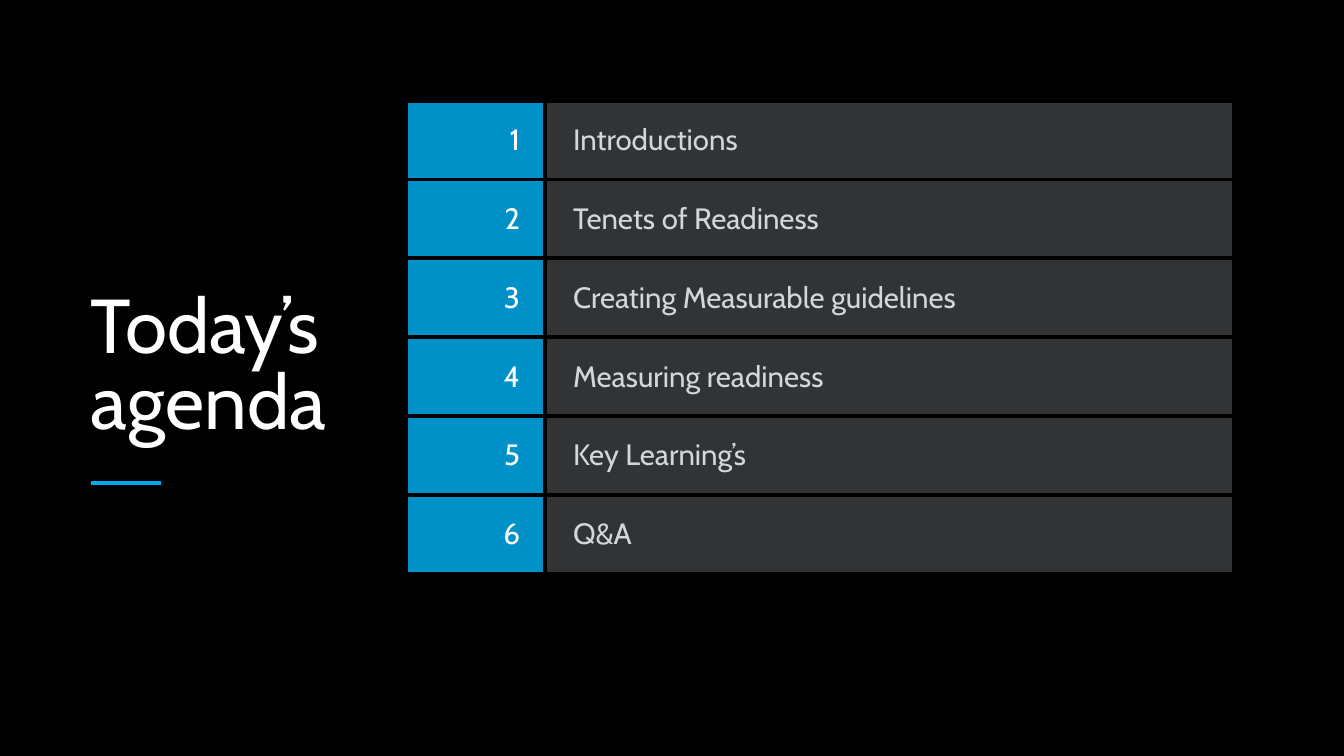
import pptx
import pptx.util
import pptx.dml.color
import pptx.enum.shapes
import pptx.enum.text
import pptx.oxml
import pptx.oxml.ns
import lxml.etree

Pt = pptx.util.Pt
ALIGN = pptx.enum.text.PP_ALIGN
MIDDLE = pptx.enum.text.MSO_ANCHOR.MIDDLE

TITLE = ["Today’s ", "agenda"]
ITEMS = [
    "Introductions",
    "Tenets of Readiness",
    "Creating Measurable guidelines",
    "Measuring readiness",
    "Key Learning’s",
    "Q&A",
]
HUES = {
    "back": "000000",
    "white": "FFFFFF",
    "rule": "00A9ED",
    "blue": "0091C9",
    "grey": "313335",
    "pale": "D5D6D8",
}
FONT = "Cabin"
LEFT = 129.6
RULE_Y = 689.8
COLS = [198.6, 983.8]
ROW = 112.55
NUMBER = {"fill": "blue", "ink": "white", "align": ALIGN.RIGHT, "indent": 20, "pad": (21.6, 36)}
TOPIC = {"fill": "grey", "ink": "pale", "align": ALIGN.LEFT, "indent": 35.4, "pad": (4.5, 4.5)}


def hue(name):
    return pptx.dml.color.RGBColor.from_string(HUES[name])


def write(para, text, size, ink):
    run = para.add_run()
    run.text = text
    run.font.name = FONT
    run.font.size = Pt(size)
    run.font.color.rgb = hue(ink)


def edge(cell):
    props = cell._tc.get_or_add_tcPr()
    for spot, side in enumerate(("lnL", "lnR", "lnT", "lnB")):
        line = pptx.oxml.parse_xml(
            f'<a:{side} {pptx.oxml.ns.nsdecls("a")} w="{Pt(6)}"><a:solidFill>'
            f'<a:srgbClr val="{HUES["back"]}"/></a:solidFill></a:{side}>'
        )
        props.insert(spot, line)


def fill_cell(cell, text, look):
    cell.fill.solid()
    cell.fill.fore_color.rgb = hue(look["fill"])
    cell.vertical_anchor = MIDDLE
    cell.margin_left, cell.margin_right = map(Pt, look["pad"])
    cell.margin_top = cell.margin_bottom = Pt(4.5)
    para = cell.text_frame.paragraphs[0]
    para.alignment = look["align"]
    props = para._p.get_or_add_pPr()
    props.set("marL", str(Pt(look["indent"])))
    props.set("indent", "0")
    write(para, text, 42, look["ink"])
    edge(cell)


def add_title(slide):
    title = slide.shapes.title
    title.left, title.top, title.width, title.height = map(Pt, (LEFT, 478.8, 580.3, 95))
    frame = title.text_frame
    frame.word_wrap = True
    frame.auto_size = pptx.enum.text.MSO_AUTO_SIZE.NONE
    frame.vertical_anchor = MIDDLE
    frame.margin_left = frame.margin_right = 0
    frame.margin_top = frame.margin_bottom = Pt(7.2)
    para = frame.paragraphs[0]
    para.alignment = ALIGN.LEFT
    para.line_spacing = Pt(109)
    for spot, text in enumerate(TITLE):
        if spot:
            para.add_line_break()
        write(para, text, 109, "white")


def add_rule(slide):
    kind = pptx.enum.shapes.MSO_CONNECTOR.STRAIGHT
    rule = slide.shapes.add_connector(kind, Pt(LEFT), Pt(RULE_Y), Pt(LEFT + 100.8), Pt(RULE_Y))
    rule.line.color.rgb = hue("rule")
    rule.line.width = Pt(5)
    lxml.etree.SubElement(rule._element.spPr, pptx.oxml.ns.qn("a:effectLst"))


def add_agenda(slide):
    size = Pt(sum(COLS)), Pt(ROW * len(ITEMS))
    grid = slide.shapes.add_table(len(ITEMS), len(COLS), Pt(580.3), Pt(144), *size).table
    grid.first_row = grid.horz_banding = False
    for col, width in zip(grid.columns, COLS):
        col.width = Pt(width)
    for spot, item in enumerate(ITEMS):
        grid.rows[spot].height = Pt(ROW)
        fill_cell(grid.cell(spot, 0), str(spot + 1), NUMBER)
        fill_cell(grid.cell(spot, 1), item, TOPIC)


def main():
    """Build the agenda slide."""
    deck = pptx.Presentation()
    deck.slide_width, deck.slide_height = Pt(1920), Pt(1080)
    slide = deck.slides.add_slide(deck.slide_layouts[5])
    slide.background.fill.solid()
    slide.background.fill.fore_color.rgb = hue("back")
    add_title(slide)
    add_rule(slide)
    add_agenda(slide)
    deck.save("out.pptx")


if __name__ == "__main__":
    main()
